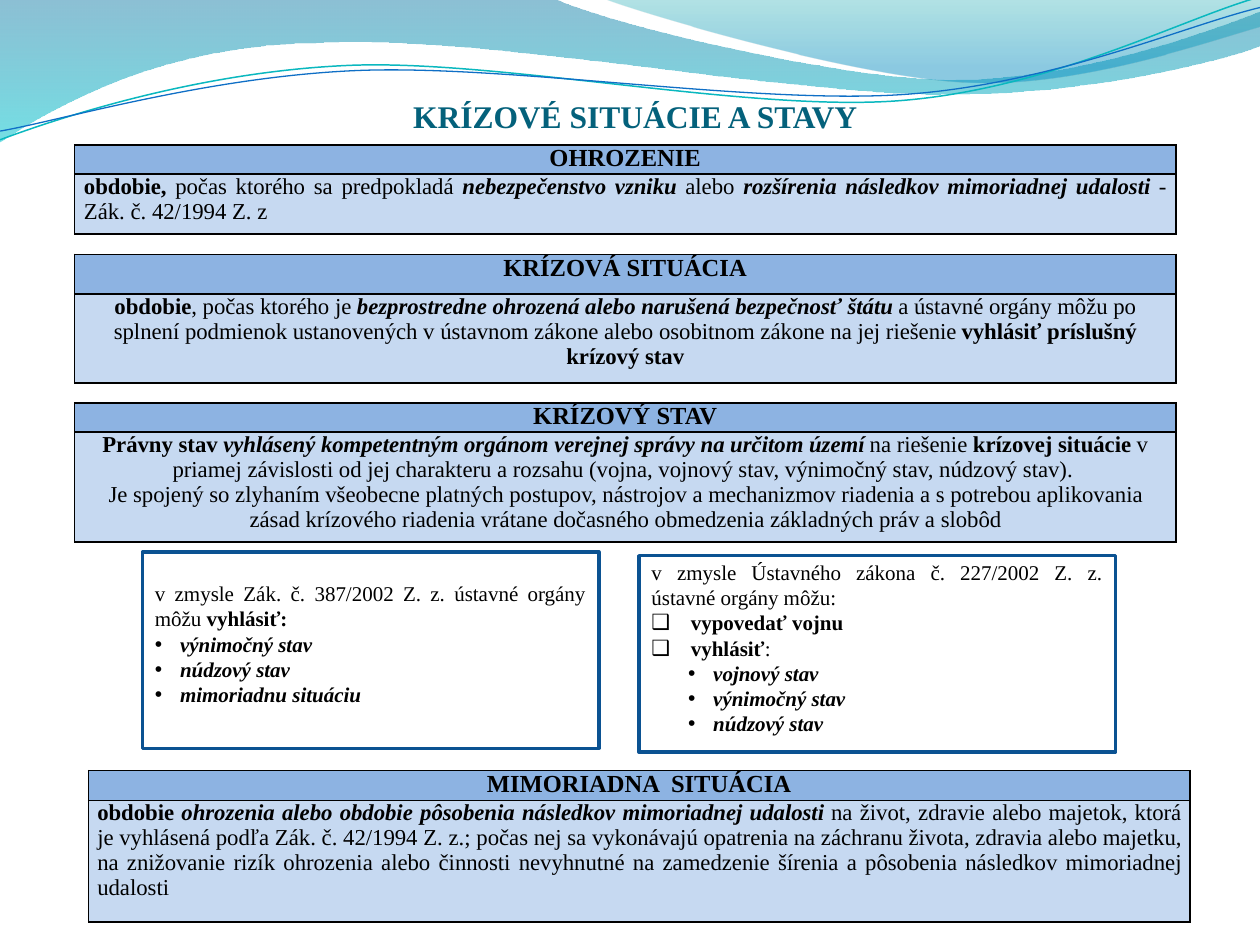
"""Build the slide on crisis situations and states."""
from lxml import etree
from pptx import Presentation
from pptx.dml.color import RGBColor
from pptx.enum.shapes import MSO_SHAPE
from pptx.enum.text import MSO_ANCHOR, MSO_AUTO_SIZE, PP_ALIGN
from pptx.oxml.ns import qn
from pptx.util import Pt

CENTER, JUSTIFY = PP_ALIGN.CENTER, PP_ALIGN.JUSTIFY
FONT = "Times New Roman"
COLORS = {
    "title": "04617B", "text": "000000", "header": "8DB3E2", "body": "C6D9F1",
    "box": "FFFFFF", "frame": "0B5292", "cyan_line": "0AB8BF", "blue_line": "0F6FC6",
    "wave_top": "0074A1", "wave_bottom": "00C6CF",
    "corner_top": "00A1A9", "corner_bottom": "008BBF",
}
RGB = {name: RGBColor.from_string(value) for name, value in COLORS.items()}


def write(paragraph, pieces, size, align, color="text"):
    paragraph.alignment = align
    for text, style in pieces:
        run = paragraph.add_run()
        run.text = text
        run.font.name, run.font.size = FONT, Pt(size)
        run.font.color.rgb = RGB[color]
        run.font.bold, run.font.italic = "b" in style, "i" in style


def draw_curve(start, segments, closed):
    builder = slide.shapes.build_freeform(Pt(start[0]), Pt(start[1]))
    builder.add_line_segments([(Pt(s[-2]), Pt(s[-1])) for s in segments], close=closed)
    curve = builder.convert_to_shape()
    curve.shadow.inherit = False
    for line, segment in zip(list(curve._element.iter(qn("a:lnTo"))), segments):
        if len(segment) == 6:
            bezier = etree.Element(qn("a:cubicBezTo"))
            for x, y in zip(segment[::2], segment[1::2]):
                etree.SubElement(bezier, qn("a:pt"), x=str(Pt(x) - curve.left),
                                 y=str(Pt(y) - curve.top))
            line.getparent().replace(line, bezier)
    return curve


prs = Presentation()
prs.slide_width, prs.slide_height = Pt(720), Pt(540)
slide = prs.slides.add_slide(prs.slide_layouts[5])

waves = [
    ((0, -0.7), [(316.8, -0.7), (342.7, 12.2, 478.1, 45.4, 545.8, 45.4),
                 (614.2, 45.4, 689.8, 18.7, 720, 6.5), (720.7, 25.9),
                 (707.8, 31.7, 626.4, 54.7, 537.1, 54),
                 (447.8, 54, 275, 20.2, 185, 24.5),
                 (92.9, 25.2, 33.1, 59.8, -0.7, 81.4)],
     [("wave_top", 0, 45), ("wave_bottom", 1, 55)]),
    ((344.9, -0.7), [(366.5, 7.9, 491, 44.6, 553.7, 46.8),
                     (616.3, 49.7, 691.9, 23, 720, 15.1), (720, 0)],
     [("corner_top", 0, 30), ("corner_bottom", 0.8, 45)]),
]
for start, segments, stops in waves:
    wave = draw_curve(start, segments, True)
    wave.line.fill.background()
    wave.fill.gradient()
    wave.fill.gradient_angle = 270
    for stop, (color, position, opacity) in zip(wave.fill.gradient_stops, stops):
        stop.color.rgb = RGB[color]
        stop.position = position
    for color_xml, (_, _, opacity) in zip(wave._element.spPr.iter(qn("a:srgbClr")), stops):
        etree.SubElement(color_xml, qn("a:alpha"), val=str(opacity * 1000))

strands = [
    ((0, 79.9), [(34.6, 67, 113.8, 41, 199.4, 37.4), (284.4, 33.8, 427, 64.1, 513.4, 57.6),
                 (599.8, 51.1, 675.4, 10.8, 718.6, -1.4)], "cyan_line", 0.85),
    ((0, 74.9), [(33.8, 69.1, 118.1, 43.9, 203.8, 40.3), (290.2, 36.7, 430.6, 59.8, 516.2, 54),
                 (601.9, 48.2, 677.5, 14.4, 720, 4.3)], "blue_line", 0.75),
]
for start, segments, color, width in strands:
    strand = draw_curve(start, segments, False)
    strand.fill.background()
    strand.line.color.rgb = RGB[color]
    strand.line.width = Pt(width)

title = slide.shapes.title
title.left, title.top, title.width, title.height = Pt(36), Pt(55.5), Pt(654), Pt(21.6)
heading = title.text_frame
heading.auto_size = MSO_AUTO_SIZE.NONE
heading.vertical_anchor = MSO_ANCHOR.BOTTOM
heading.margin_left = heading.margin_right = heading.margin_bottom = 0
write(heading.paragraphs[0], [("KRÍZOVÉ SITUÁCIE A STAVY", "b")], 18, CENTER, "title")

definitions = [
    (42.6, 82.9, (16.6, 34.3), 5.4, "OHROZENIE", JUSTIFY, [[
        ("obdobie,", "b"), (" počas ktorého sa predpokladá ", ""),
        ("nebezpečenstvo vzniku", "bi"), (" alebo ", ""),
        ("rozšírenia následkov mimoriadnej udalosti", "bi"), (" - Zák. č. 42/1994 Z. z", "")]]),
    (42.6, 145.4, (22.6, 50.9), 5.4, "KRÍZOVÁ SITUÁCIA", CENTER, [[
        ("obdobie", "b"), (", počas ktorého je ", ""),
        ("bezprostredne ohrozená alebo narušená bezpečnosť štátu", "bi"),
        (" a ústavné orgány môžu po splnení podmienok ustanovených v ústavnom zákone "
         "alebo osobitnom zákone na jej riešenie ", ""),
        ("vyhlásiť príslušný krízový stav", "b")]]),
    (42.6, 230.3, (16.6, 62.8), 5.4, "KRÍZOVÝ STAV", CENTER, [
        [("Právny stav ", "b"),
         ("vyhlásený kompetentným orgánom verejnej správy na určitom území ", "bi"),
         ("na riešenie ", ""), ("krízovej situácie ", "b"),
         ("v priamej závislosti od jej charakteru a rozsahu (vojna, vojnový stav, "
          "výnimočný stav, núdzový stav). ", "")],
        [("Je spojený so zlyhaním všeobecne platných postupov, nástrojov a mechanizmov "
          "riadenia a s potrebou aplikovania zásad krízového riadenia vrátane dočasného "
          "obmedzenia základných práv a slobôd", "")]]),
    (50.6, 440.3, (17, 69.6), 5, "MIMORIADNA  SITUÁCIA", JUSTIFY, [[
        ("obdobie ", "b"),
        ("ohrozenia alebo obdobie pôsobenia následkov mimoriadnej udalosti ", "bi"),
        ("na život, zdravie alebo majetok, ktorá je vyhlásená podľa Zák. č. 42/1994 Z. z.; "
         "počas nej sa vykonávajú opatrenia na záchranu života, zdravia alebo majetku, "
         "na znižovanie rizík ohrozenia alebo činnosti nevyhnutné na zamedzenie šírenia "
         "a pôsobenia následkov mimoriadnej udalosti", "")]]),
]
for left, top, heights, margin, term, align, meaning in definitions:
    table = slide.shapes.add_table(2, 1, Pt(left), Pt(top), Pt(629.3), Pt(sum(heights))).table
    contents = [("header", 14, CENTER, [[(term, "b")]]), ("body", 13, align, meaning)]
    for row, height, (fill, size, alignment, paragraphs) in zip(table.rows, heights, contents):
        row.height = Pt(height)
        cell = row.cells[0]
        cell.margin_left = cell.margin_right = Pt(margin)
        cell.margin_top = cell.margin_bottom = 0
        for side in ("lnL", "lnR", "lnT", "lnB"):
            border = etree.SubElement(cell._tc.get_or_add_tcPr(), qn("a:" + side), w=str(Pt(1)))
            paint = etree.SubElement(border, qn("a:solidFill"))
            etree.SubElement(paint, qn("a:srgbClr"), val=COLORS["text"])
        cell.fill.solid()
        cell.fill.fore_color.rgb = RGB[fill]
        frame = cell.text_frame
        for index, pieces in enumerate(paragraphs):
            paragraph = frame.add_paragraph() if index else frame.paragraphs[0]
            write(paragraph, pieces, size, alignment)

dot, nested_dot, square = ("•", 14.4, 14.4), ("•", 35.3, 14.4), ("❑", 22.5, 22.5)
laws = [
    (81.4, 315.4, 260.8, 16.5, [
        (None, [("v zmysle Zák. č. 387/2002 Z. z. ústavné orgány môžu ", ""), ("vyhlásiť:", "b")]),
        (dot, [("výnimočný stav", "bi")]),
        (dot, [("núdzový stav", "bi")]),
        (dot, [("mimoriadnu situáciu", "bi")])]),
    (365.2, 317.6, 272.2, 2.2, [
        (None, [("v zmysle Ústavného zákona č. 227/2002 Z. z. ústavné orgány môžu:", "")]),
        (square, [("vypovedať vojnu", "b")]),
        (square, [("vyhlásiť", "b"), (":", "")]),
        (nested_dot, [("vojnový stav", "bi")]),
        (nested_dot, [("výnimočný stav", "bi")]),
        (nested_dot, [("núdzový stav", "bi")])]),
]
for left, top, width, inset, items in laws:
    law = slide.shapes.add_shape(MSO_SHAPE.RECTANGLE, Pt(left), Pt(top), Pt(width), Pt(112.3))
    law.shadow.inherit = False
    law.fill.solid()
    law.fill.fore_color.rgb = RGB["box"]
    law.line.color.rgb = RGB["frame"]
    law.line.width = Pt(2)
    frame = law.text_frame
    frame.word_wrap = True
    frame.vertical_anchor = MSO_ANCHOR.TOP
    frame.margin_top = Pt(inset)
    for index, (bullet, pieces) in enumerate(items):
        paragraph = frame.add_paragraph() if index else frame.paragraphs[0]
        if bullet:
            mark, indent, hanging = bullet
            properties = paragraph._p.get_or_add_pPr()
            properties.set("marL", str(Pt(indent)))
            properties.set("indent", str(-Pt(hanging)))
            etree.SubElement(properties, qn("a:buFont"), typeface="Arial")
            etree.SubElement(properties, qn("a:buChar"), char=mark)
        write(paragraph, pieces, 12, JUSTIFY)

prs.save("out.pptx")
